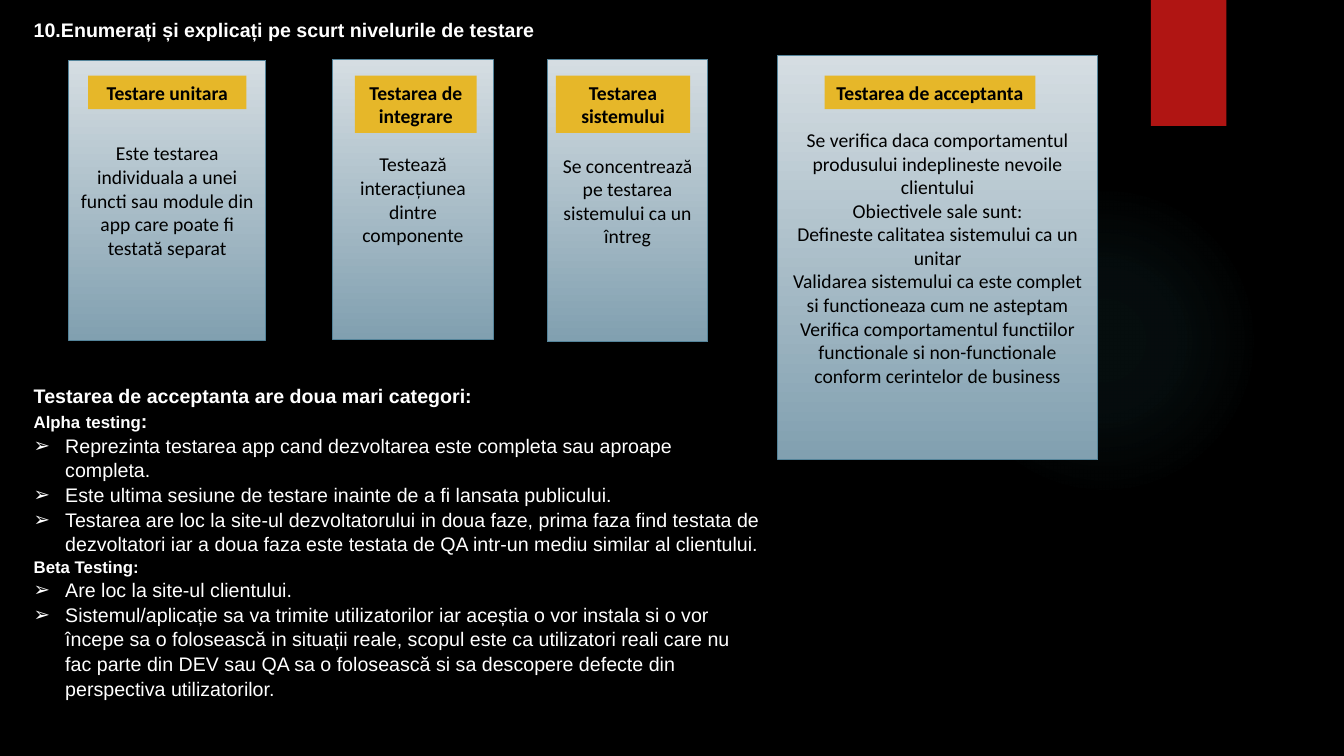
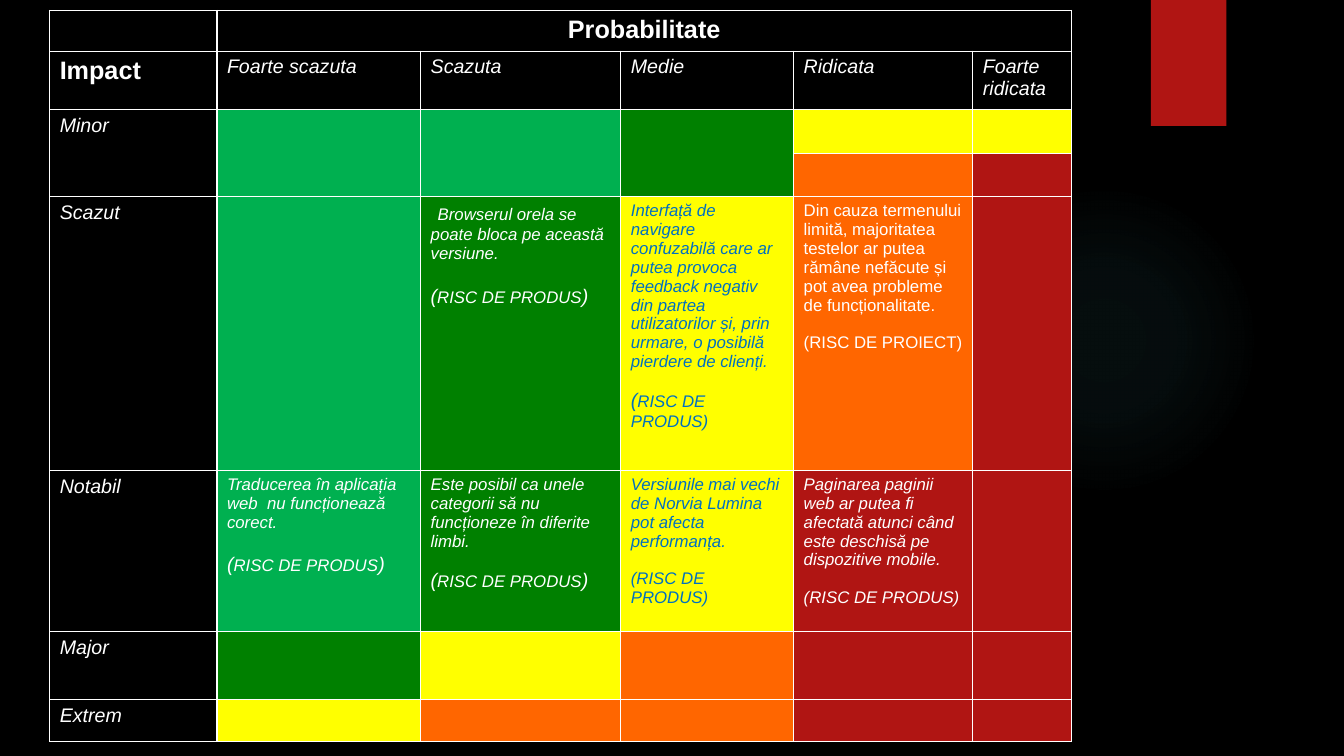
from pptx import Presentation
from pptx.dml.color import RGBColor
from pptx.enum.shapes import MSO_SHAPE
from pptx.enum.text import MSO_ANCHOR, PP_ALIGN
from pptx.oxml import parse_xml
from pptx.oxml.ns import nsdecls
from pptx.util import Pt

COLORS = {
    "black": "000000", "white": "FFFFFF", "ribbon": "B01513", "glow": "50B9C1",
    "card_top": "D5DDE2", "card_bottom": "81A0B0", "card_edge": "54849A",
    "label": "E6B729", "note_blue": "0070C0",
    "G": "00B050", "D": "008000", "Y": "FFFF00", "O": "FF6600", "R": "B01513",
}

LEVEL_CARDS = [
    ((49, 43, 141, 200), (14, 11, 113, 24), "Testare unitara",
     ["Este testarea individuala a unei functi sau module din app care poate fi testată separat"]),
    ((237.5, 42.5, 115, 200), (16, 11.5, 87, 41), "Testarea de integrare",
     ["Testează interacțiunea dintre componente"]),
    ((391, 42.5, 114.5, 201.5), (6, 11.5, 96, 41), "Testarea sistemului",
     ["Se concentrează pe testarea sistemului ca un întreg"]),
    ((555.5, 39.5, 228.5, 289), (33.5, 14.5, 150.5, 24), "Testarea de acceptanta",
     ["Se verifica daca comportamentul produsului indeplineste nevoile clientului",
      "Obiectivele sale sunt:",
      "Defineste calitatea sistemului ca un unitar",
      "Validarea sistemului ca este complet si functioneaza cum ne asteptam",
      "Verifica comportamentul functiilor functionale si non-functionale conform cerintelor de business"]),
]

ALPHA_POINTS = [
    "Reprezinta testarea app cand dezvoltarea este completa sau aproape completa.",
    "Este ultima sesiune de testare inainte de a fi lansata publicului.",
    "Testarea are loc la site-ul dezvoltatorului in doua faze, prima faza find testata de "
    "dezvoltatori iar a doua faza este testata de QA intr-un mediu similar al clientului.",
]
BETA_POINTS = [
    "Are loc la site-ul clientului.",
    "Sistemul/aplicație sa va trimite utilizatorilor iar aceștia o vor instala si o vor începe "
    "sa o folosească in situații reale, scopul este ca utilizatori reali care nu fac parte din "
    "DEV sau QA sa o folosească si sa descopere defecte din perspectiva utilizatorilor.",
]

PROBABILITIES = ["Foarte scazuta", "Scazuta", "Medie", "Ridicata", "Foarte ridicata"]
IMPACTS = {2: "Minor", 4: "Scazut", 5: "Notabil", 6: "Major", 7: "Extrem"}
RISK_LEVELS = ["GGDYY", "GGDOR", "GDYOR", "GDYRR", "DYORR", "YOORR"]
COLUMN_WIDTHS = [119.5, 145.5, 143, 123.5, 128, 70.5]
ROW_HEIGHTS = [29, 42, 31, 31, 195.5, 115, 49, 29.5]

LARGE = {"size": 14}
PRODUCT_RISK = [("(", LARGE), ("RISC DE PRODUS", {}), (")", LARGE)]
RISK_NOTES = {
    (4, 2): ([(" ", {"size": 18, "font": "TeX Gyre Adventor"}),
              ("Browserul orela se poate bloca pe această versiune.", {})], PRODUCT_RISK, 16),
    (4, 3): ("Interfață de navigare confuzabilă care ar putea provoca feedback negativ din partea "
             "utilizatorilor și, prin urmare, o posibilă pierdere de clienți.",
             [("(", LARGE), ("RISC DE PRODUS)", {})], 13.5),
    (4, 4): ("Din cauza termenului limită, majoritatea testelor ar putea rămâne nefăcute și pot "
             "avea probleme de funcționalitate.", "(RISC DE PROIECT)", 13.5),
    (5, 1): ("Traducerea în aplicația web  nu funcționează corect.", PRODUCT_RISK, 16),
    (5, 2): ("Este posibil ca unele categorii să nu funcționeze în diferite limbi.",
             PRODUCT_RISK, 13.5),
    (5, 3): ("Versiunile mai vechi de Norvia Lumina pot afecta performanța.",
             "(RISC DE PRODUS)", 13.5),
    (5, 4): ("Paginarea paginii web ar putea fi afectată atunci când este deschisă pe dispozitive "
             "mobile.", "(RISC DE PRODUS)", 13.5),
}


def rgb(name):
    return RGBColor.from_string(COLORS[name])


def write(frame, text, size=14, font="Arial", color="white", bold=False, italic=False,
          align=PP_ALIGN.LEFT, before=0, spacing=None, bullet=False):
    paragraph = frame.paragraphs[0]
    if paragraph.runs:
        paragraph = frame.add_paragraph()
    paragraph.alignment = align
    paragraph.space_before = Pt(before)
    if spacing:
        paragraph.line_spacing = spacing
    if bullet:
        properties = paragraph._p.get_or_add_pPr()
        properties.set("marL", str(Pt(22.5)))
        properties.set("indent", str(-Pt(22.5)))
        properties.append(parse_xml(f'<a:buFont {nsdecls("a")} typeface="Arial"/>'))
        properties.append(parse_xml(f'<a:buChar {nsdecls("a")} char="➢"/>'))
    pieces = [(text, {})] if isinstance(text, str) else text
    for words, changes in pieces:
        run = paragraph.add_run()
        run.text = words
        run.font.size = Pt(changes.get("size", size))
        run.font.name = changes.get("font", font)
        run.font.bold = bold
        run.font.italic = italic
        run.font.color.rgb = rgb(color)


def add_block(slide, box, fill, preset=MSO_SHAPE.RECTANGLE):
    block = slide.shapes.add_shape(preset, *map(Pt, box))
    block.shadow.inherit = False
    block.line.fill.background()
    block.text_frame.word_wrap = True
    block.fill.solid()
    block.fill.fore_color.rgb = rgb(fill)
    return block


def add_textbox(slide, box, wrap=True):
    frame = slide.shapes.add_textbox(*map(Pt, box)).text_frame
    frame.word_wrap = wrap
    return frame


def add_glow(slide, box):
    glow = add_block(slide, box, "glow", MSO_SHAPE.OVAL)
    stops = "".join(
        f'<a:gs pos="{position}000"><a:srgbClr val="{COLORS["glow"]}">'
        f'<a:alpha val="{opacity}000"/></a:srgbClr></a:gs>'
        for position, opacity in [(0, 7), (36, 6), (69, 0), (100, 0)])
    gradient = parse_xml(
        f'<a:gradFill {nsdecls("a")}><a:gsLst>{stops}</a:gsLst><a:path path="circle">'
        '<a:fillToRect l="50000" t="50000" r="50000" b="50000"/></a:path></a:gradFill>')
    properties = glow._element.spPr
    solid = properties.find("{*}solidFill")
    properties.replace(solid, gradient)


def new_slide(deck):
    slide = deck.slides.add_slide(deck.slide_layouts[6])
    slide.background.fill.solid()
    slide.background.fill.fore_color.rgb = rgb("black")
    add_glow(slide, (677.5, 132, 222, 222))
    add_block(slide, (822, 0, 54, 90), "ribbon")
    return slide


def add_level_card(slide, box, label_box, title, explanations):
    left, top, width, height = box
    card = add_block(slide, box, "card_top", MSO_SHAPE.FLOWCHART_PROCESS)
    card.fill.gradient()
    card.fill.gradient_angle = 270
    for stop, name in zip(card.fill.gradient_stops, ("card_top", "card_bottom")):
        stop.color.rgb = rgb(name)
    card.line.color.rgb = rgb("card_edge")
    card.line.width = Pt(0.75)
    card.text_frame.vertical_anchor = MSO_ANCHOR.MIDDLE
    card_style = {"font": "Calibri", "color": "black", "align": PP_ALIGN.CENTER}
    for explanation in explanations:
        write(card.text_frame, explanation, **card_style)
    dx, dy, label_width, label_height = label_box
    label = add_block(slide, (left + dx, top + dy, label_width, label_height), "label")
    label.text_frame.vertical_anchor = MSO_ANCHOR.TOP
    write(label.text_frame, title, bold=True, **card_style)


def add_acceptance_categories(slide, box):
    categories = add_textbox(slide, box)
    write(categories, "Testarea de acceptanta are doua mari categori:", bold=True, spacing=1.05)
    alpha = [("Alpha", {}), (" ", LARGE), ("testing", {}), (":", LARGE)]
    for heading, points in ((alpha, ALPHA_POINTS), ("Beta Testing:", BETA_POINTS)):
        write(categories, heading, size=12, bold=True, spacing=1.05)
        for point in points:
            write(categories, point, bullet=True, spacing=1.05)


def build_levels_slide(deck):
    slide = new_slide(deck)
    title = add_textbox(slide, (17, 9.5, 374, 24), wrap=False)
    write(title, "10.Enumerați și explicați pe scurt nivelurile de testare", bold=True)
    for level_card in LEVEL_CARDS:
        add_level_card(slide, *level_card)
    add_acceptance_categories(slide, (17, 270, 533.5, 227))


def style_cell(cell, fill=None):
    properties = cell._tc.get_or_add_tcPr()
    for side in "LRTB":
        properties.append(parse_xml(
            f'<a:ln{side} {nsdecls("a")} w="{Pt(1)}"><a:solidFill>'
            f'<a:srgbClr val="{COLORS["white"]}"/></a:solidFill></a:ln{side}>'))
    if fill:
        cell.fill.solid()
        cell.fill.fore_color.rgb = rgb(fill)
    else:
        cell.fill.background()


def add_risk_matrix(slide, left, top):
    matrix = slide.shapes.add_table(
        len(ROW_HEIGHTS), len(COLUMN_WIDTHS), Pt(left), Pt(top),
        Pt(sum(COLUMN_WIDTHS)), Pt(sum(ROW_HEIGHTS))).table
    matrix.first_row = matrix.horz_banding = False
    for column, width in zip(matrix.columns, COLUMN_WIDTHS):
        column.width = Pt(width)
    for row, height in zip(matrix.rows, ROW_HEIGHTS):
        row.height = Pt(height)
    for row in range(len(ROW_HEIGHTS)):
        for column in range(len(COLUMN_WIDTHS)):
            is_risk = row > 1 and column > 0
            style_cell(matrix.cell(row, column),
                       RISK_LEVELS[row - 2][column - 1] if is_risk else None)
    matrix.cell(0, 1).merge(matrix.cell(0, 5))
    for column in range(4):
        matrix.cell(2, column).merge(matrix.cell(3, column))

    write(matrix.cell(0, 1).text_frame, "Probabilitate", size=18, bold=True,
          align=PP_ALIGN.CENTER)
    write(matrix.cell(1, 0).text_frame, "Impact", size=18, bold=True)
    for column, probability in enumerate(PROBABILITIES, 1):
        write(matrix.cell(1, column).text_frame, probability, italic=True)
    for row, impact in IMPACTS.items():
        write(matrix.cell(row, 0).text_frame, impact, italic=True)
    for (row, column), (risk, category, gap) in RISK_NOTES.items():
        level = RISK_LEVELS[row - 2][column - 1]
        note_style = {"size": 12, "italic": level != "O",
                      "color": "note_blue" if level == "Y" else "white"}
        note = matrix.cell(row, column).text_frame
        write(note, risk, **note_style)
        write(note, category, before=gap, **note_style)


def build_risk_slide(deck):
    add_risk_matrix(new_slide(deck), 35.5, 7.5)


def main():
    deck = Presentation()
    deck.slide_width, deck.slide_height = Pt(960), Pt(540)
    build_levels_slide(deck)
    build_risk_slide(deck)
    deck.save("out.pptx")


if __name__ == "__main__":
    main()
